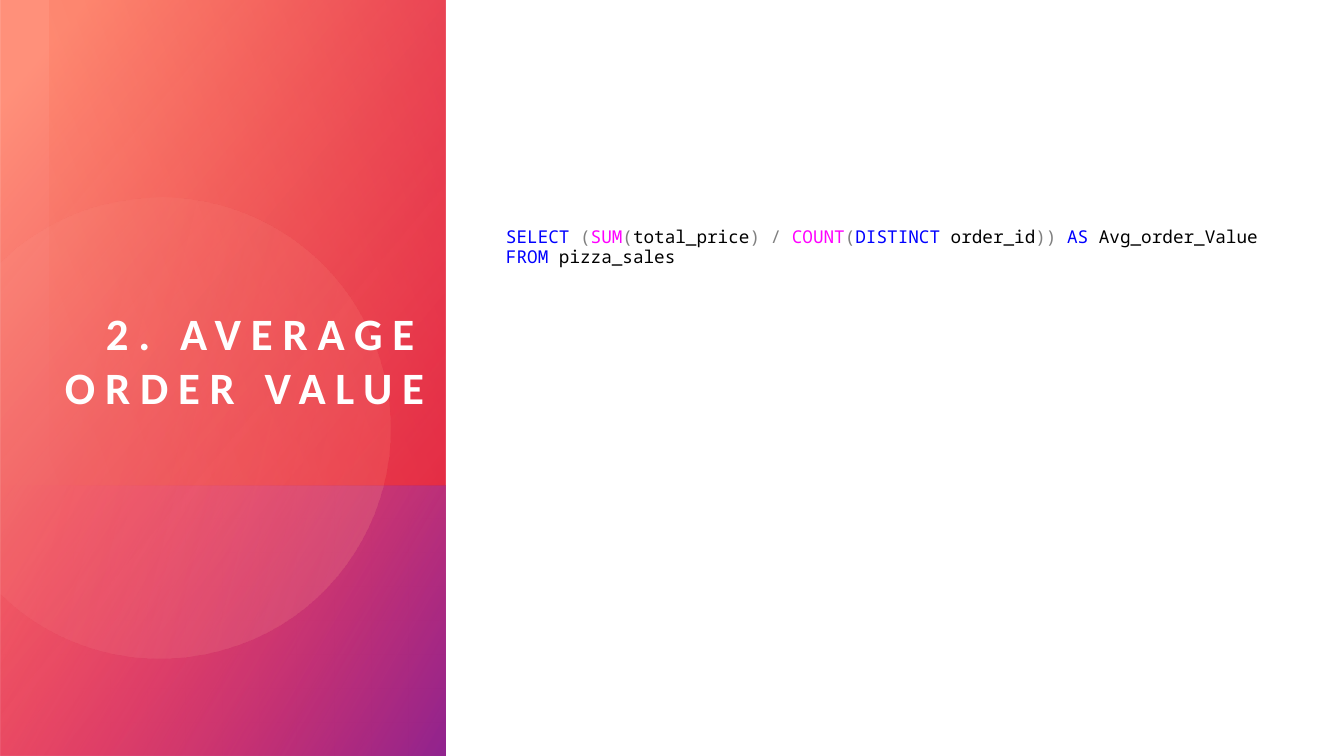
from math import cos, radians, sin

from lxml.etree import SubElement
from pptx import Presentation
from pptx.dml.color import RGBColor
from pptx.enum.shapes import MSO_SHAPE
from pptx.enum.text import MSO_ANCHOR, PP_ALIGN
from pptx.oxml.ns import qn
from pptx.util import Inches, Pt

COLORS = {
    "white": "FFFFFF", "black": "000000", "gray": "808080",
    "blue": "0000FF", "pink": "FF00FF", "peach": "FF907A",
    "blush": "FFBCAF", "rose": "FF5076", "red": "DA002F",
    "orange": "FE4A00", "purple": "92248E",
}
TITLE = {"size": Pt(32), "name": "Calibri", "bold": True}
CODE = {"size": Pt(12.6), "name": "Noto Sans Mono"}
QUERY = [
    ("SELECT ", "blue"), ("(", "gray"), ("SUM", "pink"), ("(", "gray"),
    ("total_price", "black"), (") / ", "gray"), ("COUNT", "pink"),
    ("(", "gray"), ("DISTINCT ", "blue"), ("order_id", "black"),
    (")) ", "gray"), ("AS ", "blue"), ("Avg_order_Value ", "black"),
    ("FROM ", "blue"), ("pizza_sales", "black"),
]
PANELS = [
    ((-1.54, 1.54, 7.5, 4.42), 270, 50, [(8, "peach", 100), (100, "red", 89)]),
    ((0.86, 3.95, 2.69, 4.42), 270, 60, [(0, "rose", 0), (99, "purple", 100)]),
]
GLOW = ((0.05, 0.45, 4.81, 3.92), 90, 110, [(0, "red", 29), (100, "orange", 0)])
DISC = [
    (1.64, 1.96),
    ((2.61, 1.98), (3.5, 2.63), (3.78, 3.62)),
    ((4.13, 4.83), (3.43, 6.1), (2.22, 6.44)),
    ((1.46, 6.66), (0.68, 6.47), (0.12, 6)),
    (0, 5.89), (0, 2.61), (0.15, 2.47),
    ((0.38, 2.29), (0.65, 2.14), (0.95, 2.05)),
    ((1.18, 1.99), (1.41, 1.96), (1.64, 1.96)),
]


def trace(parts, steps=24):
    dots = []
    for part in parts:
        if not isinstance(part[0], tuple):
            dots.append(part)
            continue
        curve = (dots[-1], *part)
        for step in range(1, steps + 1):
            t = step / steps
            rates = ((1 - t) ** 3, 3 * t * (1 - t) ** 2, 3 * t * t * (1 - t), t ** 3)
            dots.append(tuple(sum(r * p[axis] for r, p in zip(rates, curve)) for axis in (0, 1)))
    return dots


def rotate(dots, center, angle):
    cx, cy = center
    c, s = cos(radians(angle)), sin(radians(angle))
    return [(cx + (x - cx) * c - (y - cy) * s, cy + (x - cx) * s + (y - cy) * c) for x, y in dots]


class Deck:
    def __init__(self):
        self.show = Presentation()
        self.show.slide_width, self.show.slide_height = Inches(13.33), Inches(7.5)
        self.slide = self.show.slides.add_slide(self.show.slide_layouts[6])

    def shade(self, shape, turn, angle, stops):
        shape.shadow.inherit = False
        shape.line.fill.background()
        shape.fill.background()
        shape.rotation = turn
        props = shape._element.spPr
        blank = props.find(qn("a:noFill"))
        grad = SubElement(props, qn("a:gradFill"), rotWithShape="1")
        props.replace(blank, grad)
        group = SubElement(grad, qn("a:gsLst"))
        for place, color, alpha in stops:
            stop = SubElement(group, qn("a:gs"), pos=str(place * 1000))
            tint = SubElement(stop, qn("a:srgbClr"), val=COLORS[color])
            SubElement(tint, qn("a:alpha"), val=str(alpha * 1000))
        SubElement(grad, qn("a:lin"), ang=str(angle * 60000), scaled="0")

    def panel(self, box, turn, angle, stops):
        shape = self.slide.shapes.add_shape(MSO_SHAPE.RECTANGLE, *map(Inches, box))
        self.shade(shape, turn, angle, stops)
        shape._element.spPr.xfrm.set("flipH", "1")

    def outline(self, dots, turn, angle, stops):
        spots = [(Inches(x), Inches(y)) for x, y in dots]
        form = self.slide.shapes.build_freeform(*spots[0])
        form.add_line_segments(spots[1:], close=True)
        self.shade(form.convert_to_shape(), turn, angle, stops)

    def text(self, box, runs, style, frame, layout, track=0):
        area = self.slide.shapes.add_textbox(*map(Inches, box)).text_frame
        line = area.paragraphs[0]
        for target, values in ((area, {"word_wrap": True, **frame}), (line, layout)):
            for key, value in values.items():
                setattr(target, key, value)
        for words, color in runs:
            run = line.add_run()
            run.text = words
            for key, value in style.items():
                setattr(run.font, key, value)
            run.font.color.rgb = RGBColor.from_string(COLORS[color])
            if track:
                run._r.get_or_add_rPr().set("spc", str(track * 100))


def main():
    deck = Deck()
    for panel in PANELS:
        deck.panel(*panel)
    disc = rotate(trace(DISC), (1.735, 4.205), 16.1)
    deck.outline(disc, 343.9, 30, [(36, "blush", 6), (100, "peach", 26)])
    deck.panel(*GLOW)
    frame = {
        "vertical_anchor": MSO_ANCHOR.BOTTOM, "margin_left": 0, "margin_right": 0,
        "margin_top": 0, "margin_bottom": Inches(0.53),
    }
    deck.text((0.5, 0.95, 3.71, 3.68), [("2. AVERAGE ORDER VALUE", "white")],
              TITLE, frame, {"alignment": PP_ALIGN.RIGHT}, track=7)
    deck.text((4.92, 2.22, 7.92, 3.06), QUERY, CODE, {}, {"line_spacing": 0.9})
    deck.show.save("out.pptx")


if __name__ == "__main__":
    main()
